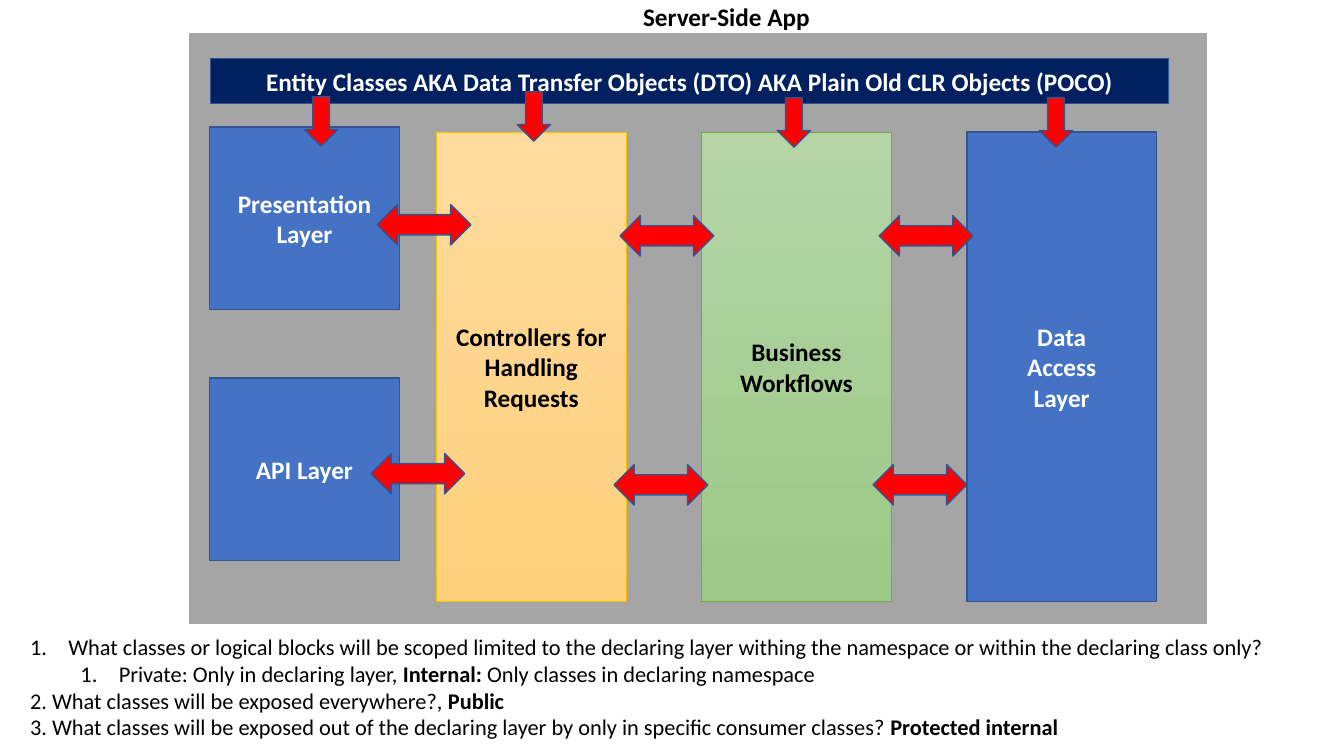
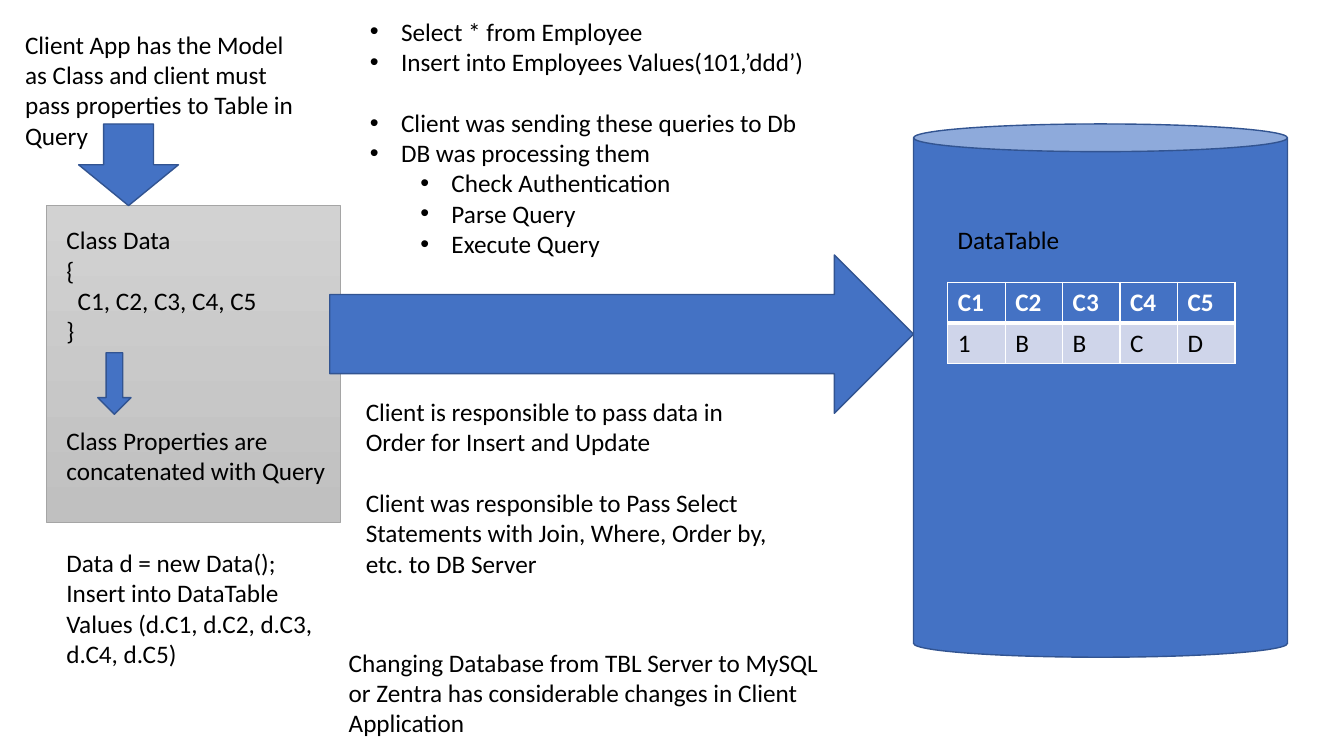
"""Build two slides on a layered server-side app and its data access."""
from lxml import etree
from pptx import Presentation
from pptx.dml.color import RGBColor
from pptx.enum.shapes import MSO_SHAPE
from pptx.enum.text import MSO_ANCHOR, PP_ALIGN
from pptx.oxml.ns import qn
from pptx.util import Inches, Pt

RECT, CAN = MSO_SHAPE.RECTANGLE, MSO_SHAPE.CAN
DOWN, RIGHT = MSO_SHAPE.DOWN_ARROW, MSO_SHAPE.RIGHT_ARROW
BOTH = MSO_SHAPE.LEFT_RIGHT_ARROW
LEFT, CENTER = PP_ALIGN.LEFT, PP_ALIGN.CENTER
TOP, MIDDLE = MSO_ANCHOR.TOP, MSO_ANCHOR.MIDDLE

FONT = "Calibri"
GAP = 22
COLORS = {
    "white": "FFFFFF", "black": "000000", "blue": "4472C4", "edge": "325491",
    "navy": "002060", "red": "FF0000", "gray": "A5A5A5", "gold": "FFC000",
    "green": "70AD47", "cell": "CFD5EA",
}
GRADIENTS = {
    "gold": ("FFDB9E", "FFD07C"),
    "green": ("B5D5A7", "9CC987"),
    "gray": ("D2D2D2", "C0C0C0"),
}

APP_TITLE = ["Server-Side App"]
ENTITY_BAND = ["Entity Classes AKA Data Transfer Objects (DTO) AKA Plain Old CLR Objects (POCO)"]
ENTRY_LAYERS = [(1.26, ["Presentation", "Layer"]), (3.75, ["API Layer"])]
INNER_LAYERS = [
    (["Controllers for Handling Requests"], "gold", "black"),
    (["Business Workflows"], "green", "black"),
    (["Data", "Access", "Layer"], "blue", "white"),
]
EXCHANGES = [(3.74, 2.03), (6.15, 2.14), (8.72, 2.14)]
ENTITY_DROPS = [(3.02, 0.96), (5.13, 0.91), (7.71, 0.97), (10.31, 0.97)]
SCOPE_NOTES = [
    {"text": "What classes or logical blocks will be scoped limited to the declaring layer "
             "withing the namespace or within the declaring class only?", "mark": "1."},
    {"text": "Private: Only in declaring layer, **Internal: **Only classes in declaring namespace",
     "mark": "1.", "level": 1},
    "2. What classes will be exposed everywhere?, **Public**",
    "3. What classes will be exposed out of the declaring layer by only in specific "
    "consumer classes? **Protected internal**",
]

QUERY_STEPS = [
    {"text": "Select * from Employee", "mark": "•"},
    {"text": "Insert into Employees Values(101,’ddd’)", "mark": "•"},
    {"text": "Client was sending these queries to Db", "mark": "•", "before": GAP},
    {"text": "DB was processing them", "mark": "•"},
    {"text": "Check Authentication", "mark": "•", "level": 1},
    {"text": "Parse Query", "mark": "•", "level": 1},
    {"text": "Execute Query", "mark": "•", "level": 1},
]
CLIENT_DUTIES = [
    "Client is responsible to pass data in Order for Insert and Update",
    {"text": "Client was responsible to Pass Select Statements with Join, Where, Order by, "
             "etc. to DB Server", "before": GAP},
]
CLASS_CODE = ["Class Data", "{", "  C1, C2, C3, C4, C5", "}"]
CLASS_USE = [
    "Class Properties are concatenated with Query",
    {"text": "Data d = new Data();", "before": 2 * GAP},
    "Insert into DataTable Values (d.C1, d.C2, d.C3, d.C4, d.C5)",
]
CLIENT_MODEL = ["Client App has the Model as Class and client must pass properties to Table in Query"]
MIGRATION = ["Changing Database from TBL Server to MySQL or Zentra has considerable changes "
             "in Client Application"]
DATA_ROWS = [["C1", "C2", "C3", "C4", "C5"], ["1", "B", "B", "C", "D"]]
QUERY_TEXTS = [
    ((3.57, 0.11, 4.96, 2.52), QUERY_STEPS),
    ((3.53, 3.88, 4.26, 1.92), CLIENT_DUTIES),
    ((0.56, 2.18, 2.72, 1.31), CLASS_CODE),
    ((0.56, 4.17, 2.82, 2.52), CLASS_USE),
    ((9.4, 2.18, 2.85, 0.4), ["DataTable"]),
    ((0.15, 0.24, 2.89, 1.31), CLIENT_MODEL),
    ((3.36, 6.37, 4.99, 1.01), MIGRATION),
]


def rgb(name):
    return RGBColor.from_string(COLORS[name])


def place(box):
    return [Inches(v) for v in box]


def add_mark(p, mark, level):
    hang = 0.31 if mark == "•" else 0.38
    pPr = p._p.get_or_add_pPr()
    pPr.set("marL", str(Inches(hang + 0.5 * level)))
    pPr.set("indent", str(-Inches(hang)))
    if mark == "•":
        etree.SubElement(pPr, qn("a:buFont"), typeface="Arial")
        etree.SubElement(pPr, qn("a:buChar"), char=mark)
    else:
        etree.SubElement(pPr, qn("a:buFont"), typeface="+mj-lt")
        etree.SubElement(pPr, qn("a:buAutoNum"), type="arabicPeriod")


def write(tf, paras, color="black", size=18, bold=False, align=LEFT, anchor=TOP):
    tf.word_wrap = True
    tf.vertical_anchor = anchor
    for i, para in enumerate(paras):
        item = {"text": para} if isinstance(para, str) else para
        p = tf.add_paragraph() if i else tf.paragraphs[0]
        p.alignment = align
        p.level = item.get("level", 0)
        if "mark" in item:
            add_mark(p, item["mark"], p.level)
        if "before" in item:
            p.space_before = Pt(item["before"])
        for j, part in enumerate(item["text"].split("**")):
            if part:
                r = p.add_run()
                r.text = part
                r.font.name, r.font.size = FONT, Pt(size)
                r.font.bold = bold or j % 2 == 1
                r.font.color.rgb = rgb(color)


def add_text(s, box, paras, **style):
    write(s.shapes.add_textbox(*place(box)).text_frame, paras, **style)


def add_block(s, kind, box, fill="blue", line="edge", width=1, paras=(), color="white"):
    sp = s.shapes.add_shape(kind, *place(box))
    sp.shadow.inherit = False
    sp.fill.solid()
    sp.fill.fore_color.rgb = rgb(fill)
    sp.line.color.rgb = rgb(line)
    sp.line.width = Pt(width)
    if paras:
        write(sp.text_frame, paras, color, bold=True, align=CENTER, anchor=MIDDLE)
    return sp


def add_shaded(s, box, name, **text):
    sp = add_block(s, RECT, box, line=name, width=0.5, **text)
    sp.fill.gradient()
    sp.fill.gradient_angle = 270
    for stop, value in zip(sp.fill.gradient_stops, GRADIENTS[name]):
        stop.color.rgb = RGBColor.from_string(value)


def add_borders(cell, bottom):
    tcPr = cell._tc.get_or_add_tcPr()
    for side, width in (("L", 1), ("R", 1), ("T", 1), ("B", bottom)):
        ln = etree.SubElement(tcPr, qn(f"a:ln{side}"), w=str(Pt(width)))
        fill = etree.SubElement(ln, qn("a:solidFill"))
        etree.SubElement(fill, qn("a:srgbClr"), val=COLORS["white"])


def add_data_table(s, box, rows):
    table = s.shapes.add_table(len(rows), len(rows[0]), *place(box)).table
    for i, row in enumerate(rows):
        head = i == 0
        for j, text in enumerate(row):
            cell = table.cell(i, j)
            add_borders(cell, 3 if head else 1)
            cell.fill.solid()
            cell.fill.fore_color.rgb = rgb("blue" if head else "cell")
            write(cell.text_frame, [text], "white" if head else "black", bold=head)


def build_layers(s):
    add_block(s, RECT, (1.86, 0.32, 10.12, 5.88), "gray", "white", 1.5)
    add_text(s, (3.18, -0.04, 8.05, 0.4), APP_TITLE, bold=True, align=CENTER)
    for i, (paras, fill, color) in enumerate(INNER_LAYERS):
        box = (4.33 + 2.63 * i, 1.31, 1.88, 4.66)
        if fill in GRADIENTS:
            add_shaded(s, box, fill, paras=paras, color=color)
        else:
            add_block(s, RECT, box, fill, paras=paras, color=color)
    for y, paras in ENTRY_LAYERS:
        add_block(s, RECT, (2.08, y, 1.88, 1.81), paras=paras)
    for x, y in EXCHANGES:
        for dx, dy in ((0, 0), (-0.06, 2.47)):
            add_block(s, BOTH, (x + dx, y + dy, 0.93, 0.4), "red")
    add_text(s, (0.2, 6.23, 12.94, 1.18), SCOPE_NOTES, size=16)
    add_block(s, RECT, (2.09, 0.58, 9.5, 0.45), "navy", paras=ENTITY_BAND)
    for x, y in ENTITY_DROPS:
        add_block(s, DOWN, (x, y, 0.33, 0.49), "red")


def build_queries(s):
    database = add_block(s, CAN, (9.06, 1.23, 3.71, 5.29))
    database.adjustments[0] = 0.074
    add_data_table(s, (9.4, 2.8, 2.85, 0.81), DATA_ROWS)
    add_shaded(s, (0.46, 2.04, 2.92, 3.14), "gray")
    add_block(s, RIGHT, (3.27, 2.53, 5.79, 1.57))
    add_block(s, DOWN, (0.97, 3.5, 0.33, 0.61))
    add_block(s, DOWN, (0.78, 1.23, 0.99, 0.81))
    for box, paras in QUERY_TEXTS:
        add_text(s, box, paras)


def main():
    prs = Presentation()
    prs.slide_width, prs.slide_height = Inches(13.33), Inches(7.5)
    for build in (build_layers, build_queries):
        build(prs.slides.add_slide(prs.slide_layouts[6]))
    prs.save("out.pptx")


if __name__ == "__main__":
    main()
